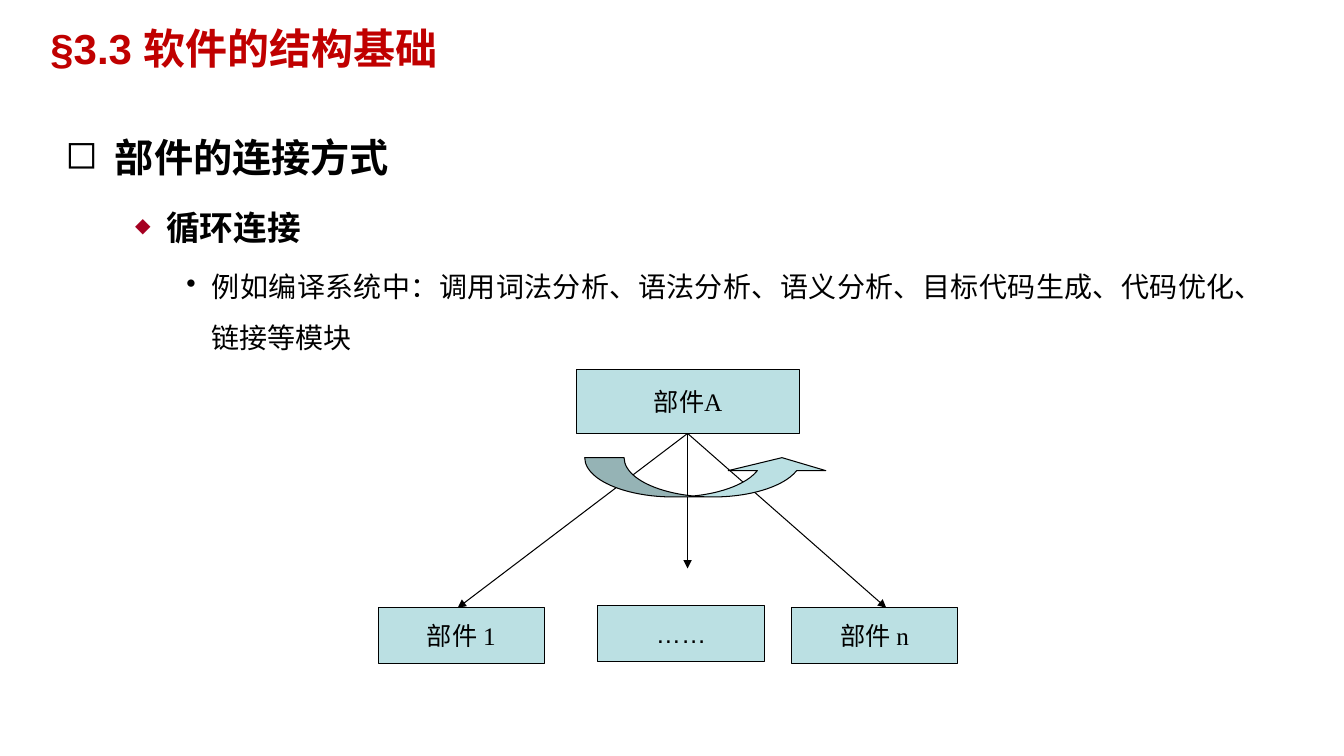
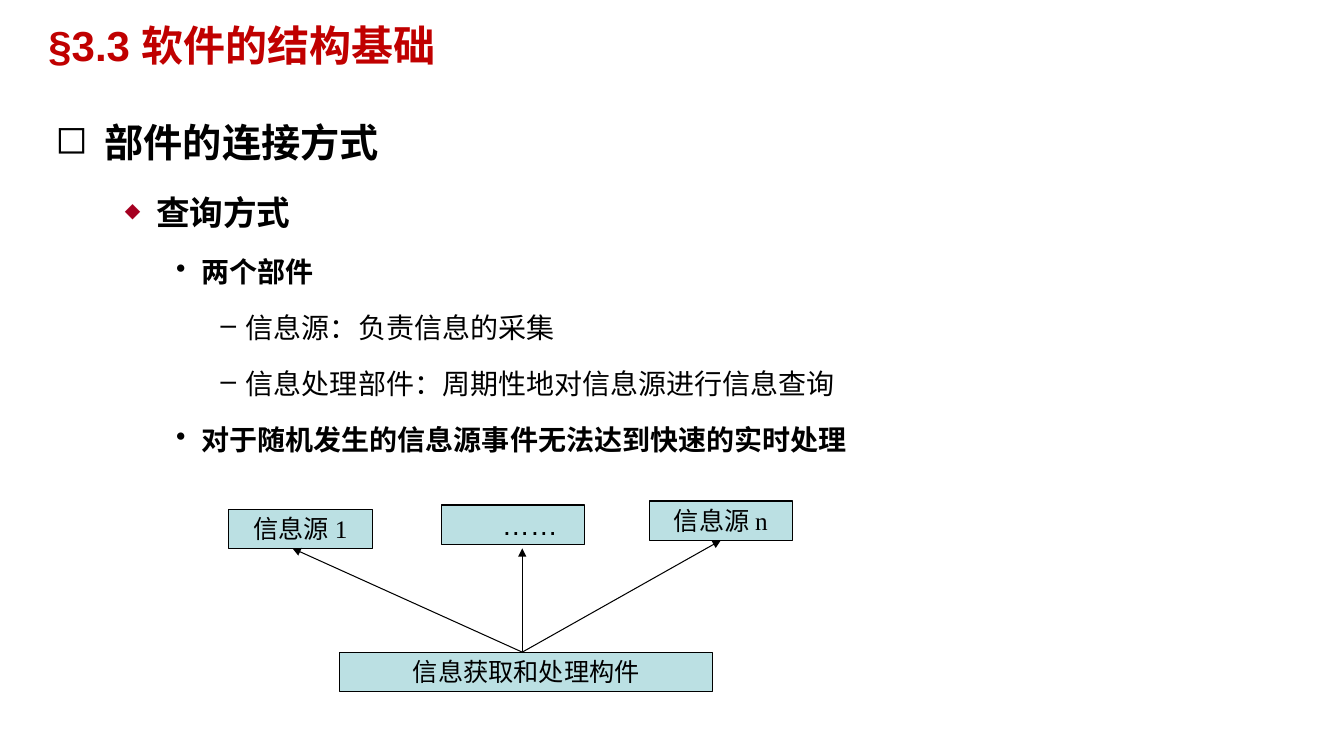
from lxml.etree import SubElement
from pptx import Presentation
from pptx.dml.color import RGBColor
from pptx.enum.shapes import MSO_CONNECTOR, MSO_SHAPE
from pptx.enum.text import MSO_ANCHOR, PP_ALIGN
from pptx.oxml.ns import qn
from pptx.util import Inches, Pt

BLACK = RGBColor(0, 0, 0)
WHITE = RGBColor(255, 255, 255)
RED = RGBColor(0xC0, 0, 0)
TEAL = RGBColor(0xBB, 0xE0, 0xE3)
SANS, ARIAL, TIMES = "Noto Sans CJK SC", "Arial", "Times New Roman"

TITLE = [("§3.3 ", ARIAL), ("软件的结构基础", SANS)]

# Outline levels: size, left margin, hanging indent, bullet, its colour and percent
LEVELS = [
    dict(size=28, left=0.49, hang=0.49, mark="◻", tint="000000", share=100),
    dict(size=24, left=1, hang=0.31, mark="◆", tint="A50021", share=60),
    dict(size=20, left=1.45, hang=0.25, mark="•", tint="000000", share=100),
    dict(size=20, left=1.89, hang=0.25, mark="–", tint="000000", share=100),
]
LINE, GAP = 1.8, 0.2  # line pitch and space before, as shares of the text size

# Outline rows: level, bold, text. Boxes: left, top, text.
SLIDES = [
    dict(
        title=(0.02, 0.18), body=(0.45, 1), inset=0.2,
        rows=[
            (0, True, "部件的连接方式"),
            (1, True, "循环连接"),
            (2, False, "例如编译系统中：调用词法分析、语法分析、语义分析、"
                       "目标代码生成、代码优化、链接等模块"),
        ],
        root=(5.72, 3.67, 2.21, 0.63, "部件A"),
        size=(1.65, 0.55),
        boxes=[(3.75, 6.03, "部件 1"), (5.93, 6.01, "……"), (7.85, 6.03, "部件 n")],
        hub=(6.82, 4.3),
        tips=[(6.82, 5.64), (4.54, 6.03), (8.79, 6.03)],
        loop=(5.8, 4.54, 2.44, 0.39),
    ),
    dict(
        title=(0, 0.15), body=(0.45, 0.85), inset=0.1,
        rows=[
            (0, True, "部件的连接方式"),
            (1, True, "查询方式"),
            (2, True, "两个部件"),
            (3, False, "信息源：负责信息的采集"),
            (3, False, "信息处理部件：周期性地对信息源进行信息查询"),
            (2, True, "对于随机发生的信息源事件无法达到快速的实时处理"),
        ],
        root=(3.37, 6.47, 3.7, 0.39, "信息获取和处理构件"),
        size=(1.42, 0.39),
        boxes=[(2.27, 5.05, "信息源 1"), (4.38, 5.01, "……"), (6.44, 4.97, "信息源 n")],
        hub=(5.18, 6.47),
        tips=[(2.9, 5.44), (5.18, 5.44), (7.15, 5.36)],
        indent=dict(size=20, left=0.81, hang=0.31),
    ),
]


def inches(*nums):
    return [Inches(n) for n in nums]


def add_run(para, text, face, size, color=BLACK, bold=False):
    run = para.add_run()
    run.text = text
    for name, value in dict(name=face, size=Pt(size), bold=bold).items():
        setattr(run.font, name, value)
    run.font.color.rgb = color
    east = SANS if face == TIMES else face
    SubElement(run.font._element, qn("a:ea"), typeface=east)


def indent(para, left, first):
    props = para._p.get_or_add_pPr()
    props.set("marL", str(Inches(left)))
    props.set("indent", str(Inches(first)))
    return props


def text_box(slide, at, insets):
    frame = slide.shapes.add_textbox(*inches(*at)).text_frame
    frame.word_wrap = True
    for side, value in zip(("left", "top", "right", "bottom"), inches(*insets)):
        setattr(frame, "margin_" + side, value)
    return frame


def add_title(slide, spot):
    para = text_box(slide, (*spot, 8.8, 0.93), (0.08, 0.04, 0.1, 0.05)).paragraphs[0]
    indent(para, 0, 0.4)
    for text, face in TITLE:
        add_run(para, text, face, 30, RED, True)


def add_body(slide, spot, inset, rows):
    frame = text_box(slide, (*spot, 12, 5.54), (inset, 0.09, inset, 0.05))
    for i, (level, bold, text) in enumerate(rows):
        style = LEVELS[level]
        size = style["size"]
        para = frame.add_paragraph() if i else frame.paragraphs[0]
        para.level = level
        para.alignment = PP_ALIGN.JUSTIFY
        para.line_spacing = Pt(size * LINE)
        para.space_before = Pt(size * GAP if i else 0)
        props = indent(para, style["left"], -style["hang"])
        color = SubElement(props, qn("a:buClr"))
        SubElement(color, qn("a:srgbClr"), val=style["tint"])
        SubElement(props, qn("a:buSzPct"), val=str(style["share"] * 1000))
        SubElement(props, qn("a:buChar"), char=style["mark"])
        add_run(para, text, SANS, size, bold=bold)


def add_block(slide, kind, at):
    block = slide.shapes.add_shape(kind, *inches(*at))
    block.shadow.inherit = False
    block.fill.solid()
    block.fill.fore_color.rgb = TEAL
    block.line.color.rgb = BLACK
    block.line.width = Pt(0.75)
    return block


def add_box(slide, at, text, style=None):
    """Draw a labelled box; a style sets its label as an indented line."""
    frame = add_block(slide, MSO_SHAPE.RECTANGLE, at).text_frame
    frame.word_wrap = False
    frame.vertical_anchor = MSO_ANCHOR.MIDDLE
    para = frame.paragraphs[0]
    para.alignment = PP_ALIGN.LEFT if style else PP_ALIGN.CENTER
    size = 18
    if style:
        size = style["size"]
        para.level = 1
        para.space_before = Pt(size * GAP)
        indent(para, style["left"], -style["hang"])
    add_run(para, text, ARIAL if text == "……" else TIMES, size)


def add_arrow(slide, start, end):
    arrow = slide.shapes.add_connector(MSO_CONNECTOR.STRAIGHT, *inches(*start, *end))
    arrow.line.color.rgb = BLACK
    arrow.line.width = Pt(0.75)
    SubElement(arrow.line._get_or_add_ln(), qn("a:tailEnd"), type="triangle")
    SubElement(arrow._element.spPr, qn("a:effectLst"))


def add_loop(slide, at):
    loop = add_block(slide, MSO_SHAPE.CURVED_UP_ARROW, at)
    for i, value in enumerate((1.24, 2.48, 0.33)):
        loop.adjustments[i] = value


def build(deck, data):
    slide = deck.slides.add_slide(deck.slide_layouts[6])
    slide.background.fill.solid()
    slide.background.fill.fore_color.rgb = WHITE
    add_body(slide, data["body"], data["inset"], data["rows"])
    *at, text = data["root"]
    add_box(slide, at, text)
    for left, top, text in data["boxes"]:
        style = data.get("indent") if text == "……" else None
        add_box(slide, (left, top, *data["size"]), text, style)
    for tip in data["tips"]:
        add_arrow(slide, data["hub"], tip)
    if "loop" in data:
        add_loop(slide, data["loop"])
    add_title(slide, data["title"])


def main():
    deck = Presentation()
    deck.slide_width, deck.slide_height = inches(13.33, 7.5)
    for data in SLIDES:
        build(deck, data)
    deck.save("out.pptx")


if __name__ == "__main__":
    main()
